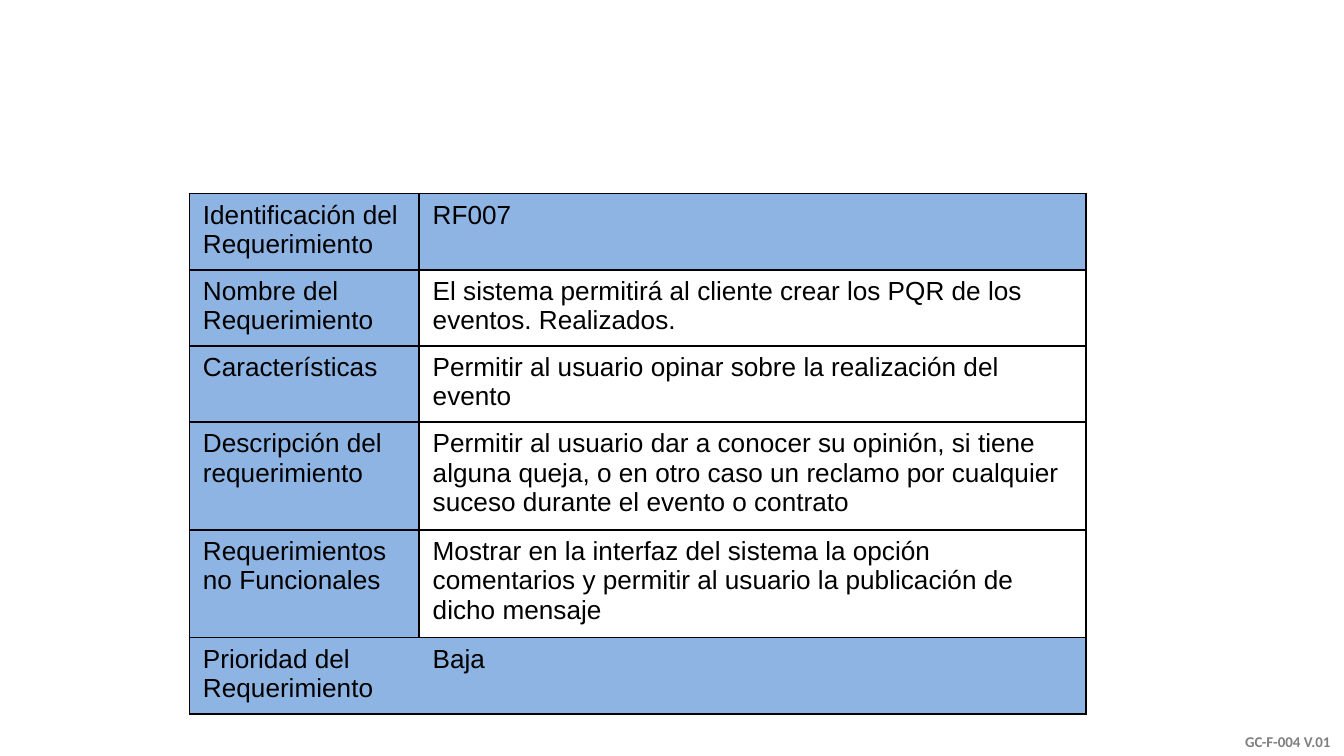
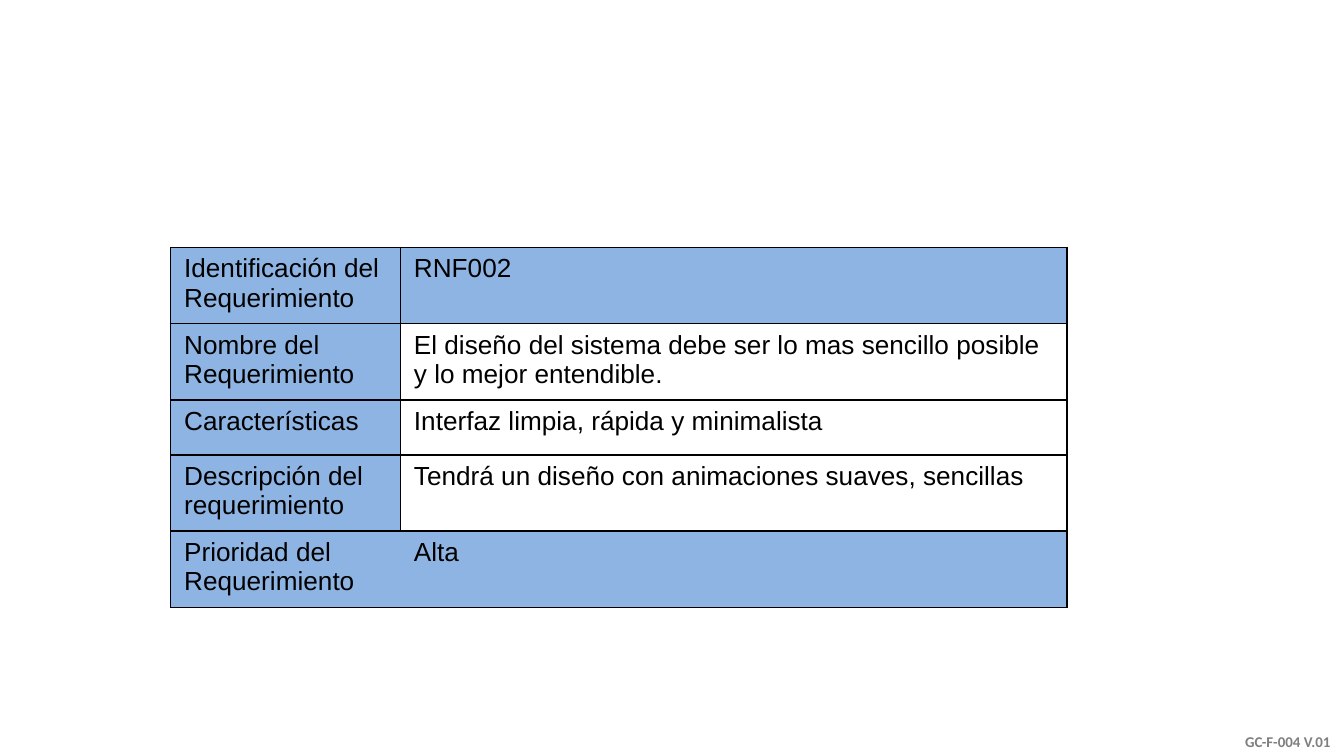
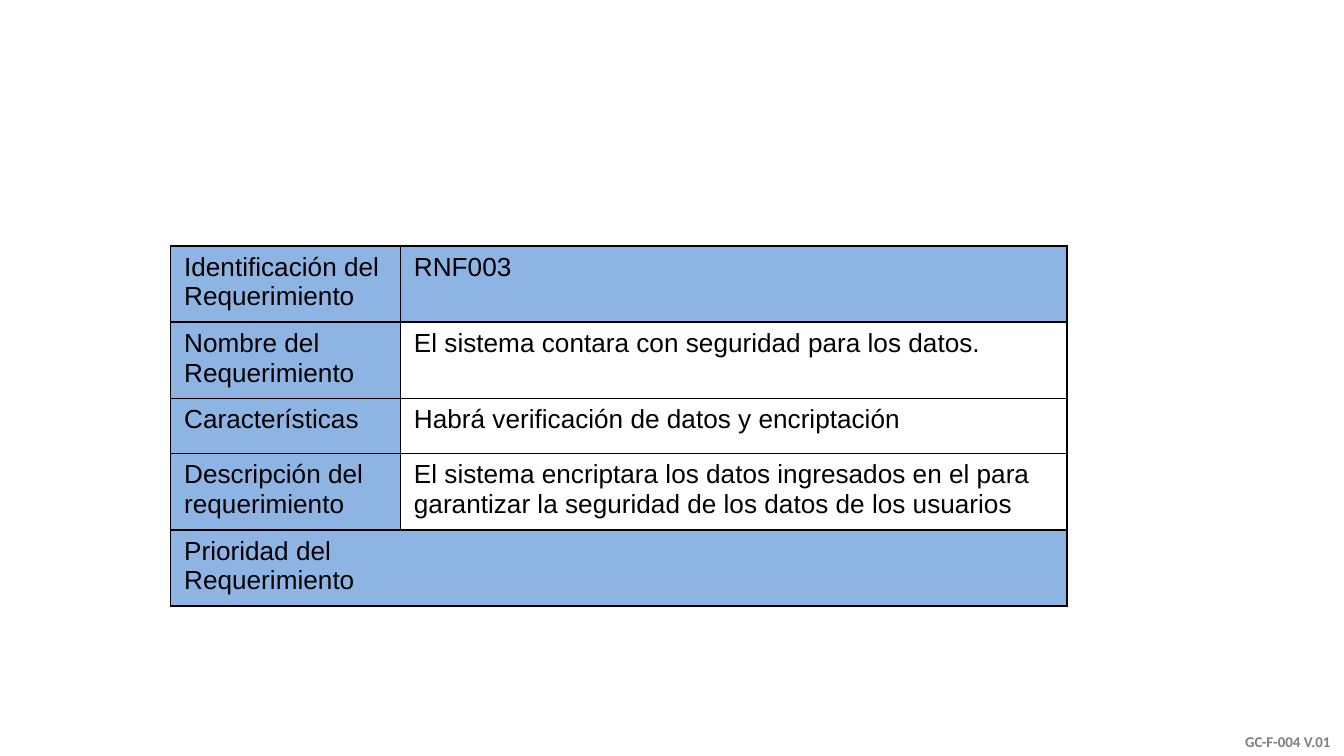
from lxml.etree import SubElement
from pptx import Presentation
from pptx.dml.color import RGBColor
from pptx.enum.text import MSO_ANCHOR as Anchor, PP_ALIGN as Align
from pptx.oxml.ns import qn
from pptx.util import Inches, Pt

COLORS = {"label": "8EB4E3", "text": "000000", "border": "000000",
          "footer": "7F7F7F", "background": "FFFFFF"}
FOOTER = "GC-F-004 V.01"
COLUMN_WIDTHS = (1.71, 4.96)
ROW_HEIGHT = 0.41

ID = "Identificación del Requerimiento"
NAME = "Nombre del Requerimiento"
FEATURES = "Características"
DESCRIPTION = "Descripción del requerimiento"
NON_FUNCTIONAL = "Requerimientos no Funcionales"
PRIORITY = "Prioridad del Requerimiento"

REQUIREMENTS = [
    (1.41, 1.44, {
        ID: "RF007",
        NAME: "El sistema permitirá al cliente crear los PQR de los eventos. Realizados.",
        FEATURES: "Permitir al usuario opinar sobre la realización del evento",
        DESCRIPTION: "Permitir al usuario dar a conocer su opinión, si tiene alguna queja, "
                     "o en otro caso un reclamo por cualquier suceso durante el evento o contrato",
        NON_FUNCTIONAL: "Mostrar en la interfaz del sistema la opción comentarios y permitir "
                        "al usuario la publicación de dicho mensaje",
        PRIORITY: "Baja",
    }),
    (1.27, 1.84, {
        ID: "RNF002",
        NAME: "El diseño del sistema debe ser lo mas sencillo posible y lo mejor entendible.",
        FEATURES: "Interfaz limpia, rápida y minimalista",
        DESCRIPTION: "Tendrá un diseño con animaciones suaves, sencillas",
        PRIORITY: "Alta",
    }),
    (1.27, 1.83, {
        ID: "RNF003",
        NAME: "El sistema contara con seguridad para los datos.",
        FEATURES: "Habrá verificación de datos y encriptación",
        DESCRIPTION: "El sistema encriptara los datos ingresados en el para garantizar "
                     "la seguridad de los datos de los usuarios",
        PRIORITY: "",
    }),
]


def add_span(para, text, font, size, color, bold=False):
    span = para.add_run()
    span.text = text
    span.font.name = font
    span.font.size = Pt(size)
    span.font.bold = bold
    span.font.color.rgb = RGBColor.from_string(COLORS[color])


def set_borders(cell, hidden_side):
    properties = cell._tc.get_or_add_tcPr()
    for side in ("lnL", "lnR", "lnT", "lnB"):
        line = SubElement(properties, qn(f"a:{side}"), w=str(Pt(1)))
        if side == hidden_side:
            SubElement(line, qn("a:noFill"))
        else:
            fill = SubElement(line, qn("a:solidFill"))
            SubElement(fill, qn("a:srgbClr"), val=COLORS["border"])


deck = Presentation()
deck.slide_width = Inches(10)
deck.slide_height = Inches(10 * 9 / 16)
master_fill = deck.slide_master.background.fill
master_fill.solid()
master_fill.fore_color.rgb = RGBColor.from_string(COLORS["background"])
blank_layout = deck.slide_layouts[6]

for left, top, fields in REQUIREMENTS:
    page = deck.slides.add_slide(blank_layout)

    footer = page.shapes.add_textbox(Inches(8.37), Inches(5.2), Inches(1.63), Inches(0.43))
    footer.text_frame.word_wrap = True
    footer.text_frame.vertical_anchor = Anchor.BOTTOM
    para = footer.text_frame.paragraphs[0]
    para.alignment = Align.RIGHT
    add_span(para, FOOTER, "Calibri", 8, "footer", bold=True)

    table = page.shapes.add_table(
        len(fields), len(COLUMN_WIDTHS), Inches(left), Inches(top),
        Inches(sum(COLUMN_WIDTHS)), Inches(ROW_HEIGHT * len(fields))).table
    table.first_row = False
    table.horz_banding = False
    for column, width in zip(table.columns, COLUMN_WIDTHS):
        column.width = Inches(width)

    for row_index, (label, value) in enumerate(fields.items()):
        table.rows[row_index].height = Inches(ROW_HEIGHT)
        for column_index, text in enumerate((label, value)):
            cell = table.cell(row_index, column_index)
            set_borders(cell, ("lnR", "lnL")[column_index] if label == PRIORITY else None)
            if column_index == 0 or label in (ID, PRIORITY):
                cell.fill.solid()
                cell.fill.fore_color.rgb = RGBColor.from_string(COLORS["label"])
            else:
                cell.fill.background()
            if text:
                add_span(cell.text_frame.paragraphs[0], text, "Arial", 14, "text")

deck.save("out.pptx")
